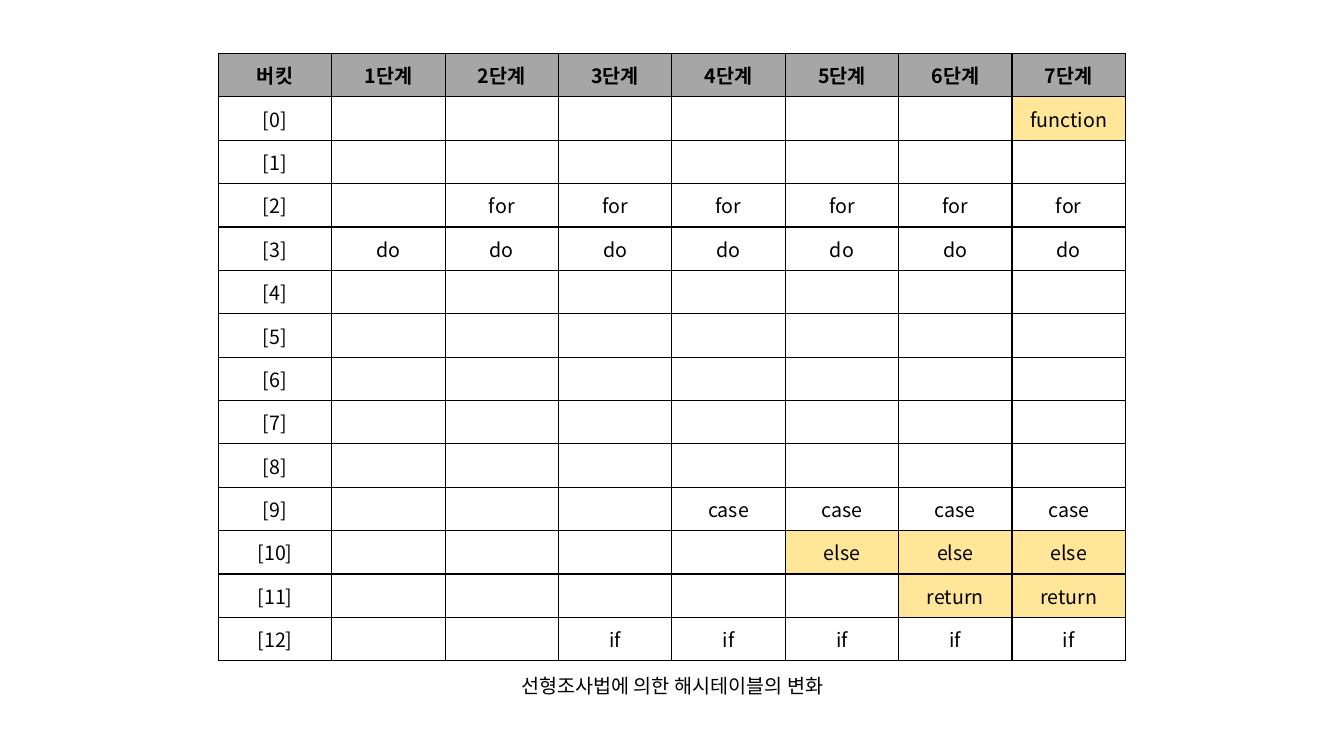
"""Build a slide that shows a hash table filling up by linear probing."""
from lxml.etree import SubElement
from pptx import Presentation
from pptx.dml.color import RGBColor
from pptx.enum.text import MSO_ANCHOR, MSO_AUTO_SIZE, PP_ALIGN
from pptx.oxml.ns import qn
from pptx.util import Pt

COLORS = {"ink": "000000", "head": "A6A6A6", "plain": "FFFFFF", "probed": "FFE699"}
FONT = "Noto Sans CJK KR"
TEXT = {"name": FONT, "size": Pt(14), "bold": False}
BUCKETS = 13
INSERTS = [("do", 3), ("for", 2), ("if", 12), ("case", 9),
           ("else", 10), ("return", 11), ("function", 0)]
PROBED = {"else", "return", "function"}


def write(frame, text, **extra):
    para = frame.paragraphs[0]
    para.alignment = PP_ALIGN.CENTER
    run = para.add_run()
    run.text = text
    for name, value in {**TEXT, **extra}.items():
        setattr(run.font, name, value)
    run.font.color.rgb = RGBColor.from_string(COLORS["ink"])
    SubElement(run.font._element, qn("a:ea"), typeface=FONT)


def border(cell):
    props = cell._tc.get_or_add_tcPr()
    for side in ("lnL", "lnR", "lnT", "lnB"):
        line = SubElement(props, qn(f"a:{side}"), w=str(Pt(1)))
        fill = SubElement(line, qn("a:solidFill"))
        SubElement(fill, qn("a:srgbClr"), val=COLORS["ink"])


def style(cell, text, color, bold=False):
    border(cell)
    cell.fill.solid()
    cell.fill.fore_color.rgb = RGBColor.from_string(COLORS[color])
    cell.vertical_anchor = MSO_ANCHOR.MIDDLE
    if text:
        write(cell.text_frame, text, bold=bold)


def add_grid(slide):
    steps = len(INSERTS)
    shape = slide.shapes.add_table(BUCKETS + 1, steps + 1, Pt(156), Pt(38.2),
                                   Pt(81 * (steps + 1)), Pt(31 * (BUCKETS + 1)))
    grid = shape.table
    grid.first_row = grid.horz_banding = False
    heads = ["버킷"] + [f"{step}단계" for step in range(1, steps + 1)]
    for col, head in enumerate(heads):
        style(grid.cell(0, col), head, "head", bold=True)
    for bucket in range(BUCKETS):
        style(grid.cell(bucket + 1, 0), f"[{bucket}]", "plain")
        for step in range(1, steps + 1):
            stored = {place: word for word, place in INSERTS[:step]}
            word = stored.get(bucket, "")
            color = "probed" if word in PROBED else "plain"
            style(grid.cell(bucket + 1, step), word, color)


def add_label(slide, text, left, top, width, height):
    box = slide.shapes.add_textbox(Pt(left), Pt(top), Pt(width), Pt(height))
    frame = box.text_frame
    frame.word_wrap = True
    frame.auto_size = MSO_AUTO_SIZE.SHAPE_TO_FIT_TEXT
    write(frame, text)


def main():
    deck = Presentation()
    deck.slide_width, deck.slide_height = Pt(960), Pt(540)
    slide = deck.slides.add_slide(deck.slide_layouts[6])
    add_label(slide, "선형조사법에 의한 해시테이블의 변화", 250.5, 477.5, 459.5, 24.3)
    add_grid(slide)
    deck.save("out.pptx")


main()
